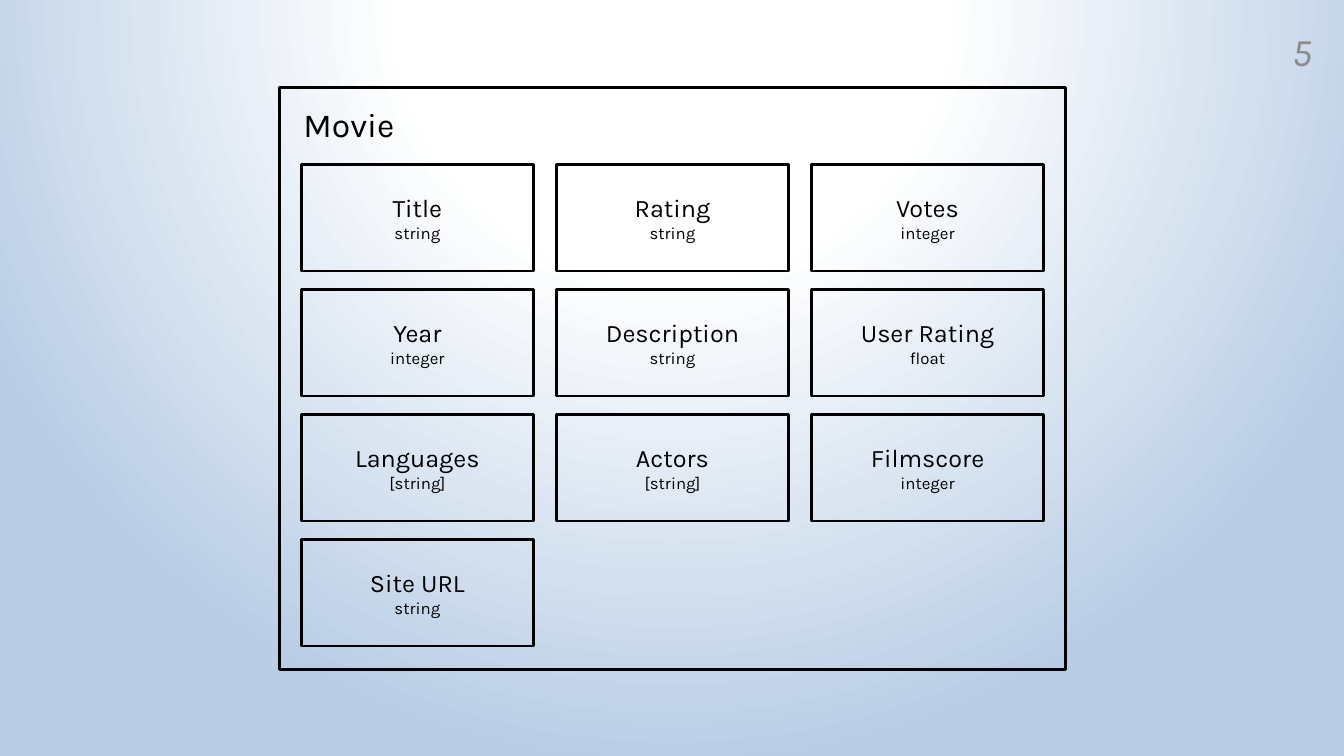
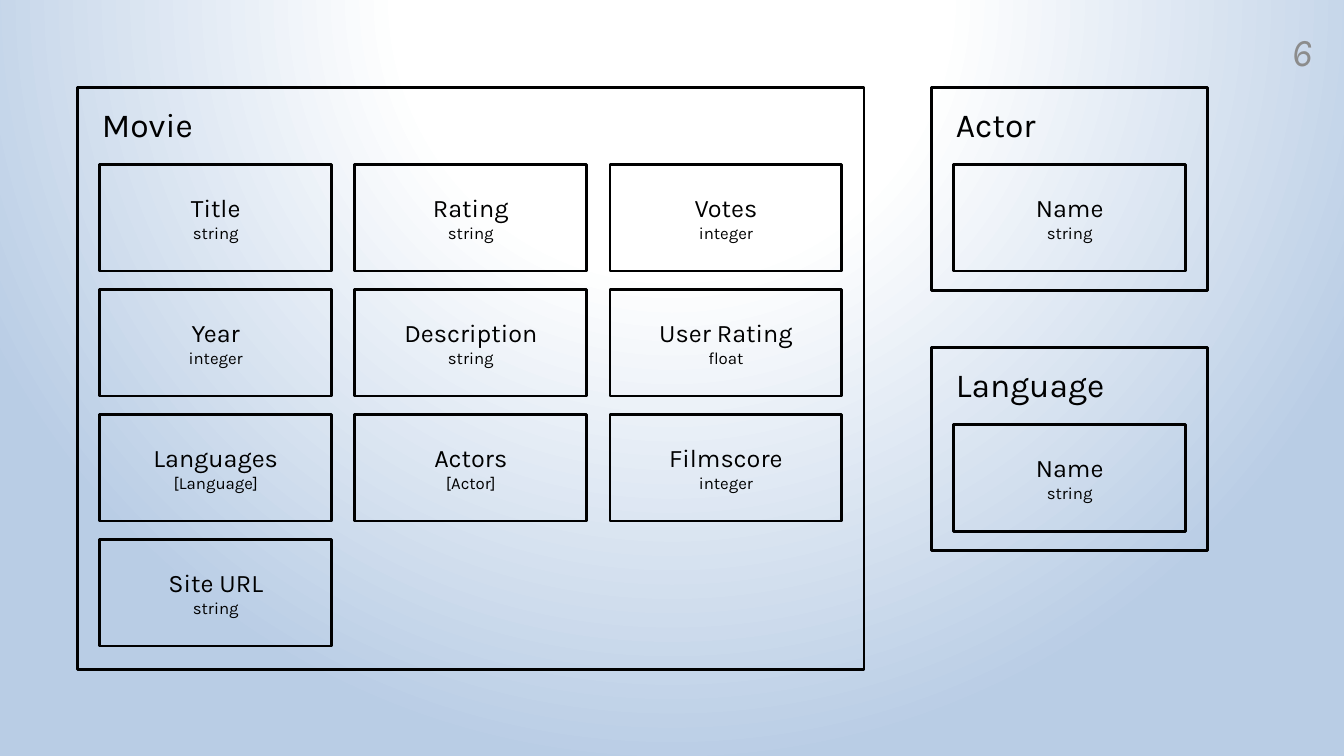
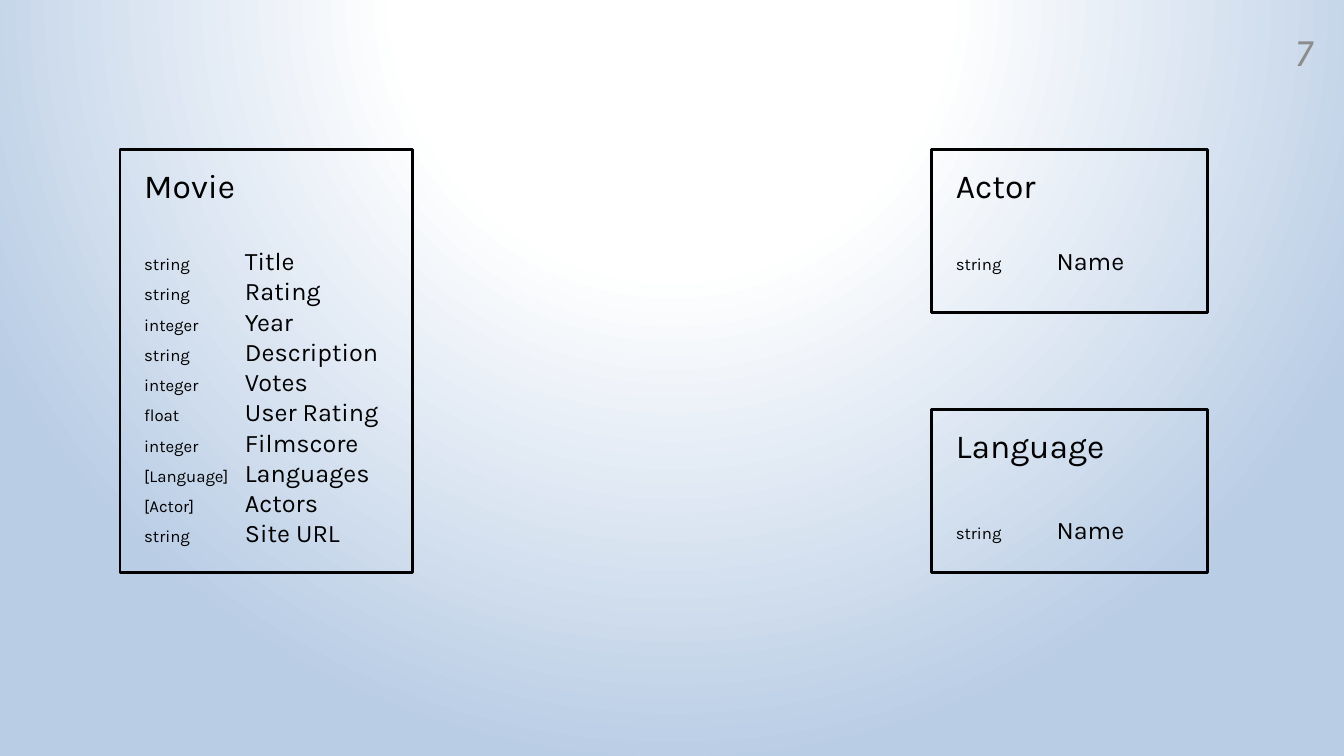
"""Build three slides that refine a movie data model."""
from dataclasses import dataclass

from lxml.etree import SubElement
from pptx import Presentation
from pptx.dml.color import RGBColor
from pptx.enum.shapes import MSO_SHAPE as Shape
from pptx.enum.text import MSO_ANCHOR as Anchor, PP_ALIGN as Align
from pptx.oxml.ns import qn
from pptx.util import Inches, Pt


@dataclass(frozen=True)
class Theme:
    """Colours, type sizes and spacing shared by the slides."""
    font: str = "Karla"
    ink: str = "000000"
    muted: str = "8C8C8C"
    gradient: tuple = ((0, "FFFFFF"), (35, "FFFFFF"), (100, "B9CDE5"))
    gradient_center: tuple = (("l", 50), ("t", -80), ("r", 50), ("b", 180))
    number_size: int = 28
    heading_size: int = 24
    name_size: int = 18
    type_size: int = 12
    line_width: int = 2
    card_width: float = 2.3
    card_height: float = 1.06
    column_gap: float = 0.23
    row_gap: float = 0.18
    card_inset: float = 0.22
    card_top: float = 0.76
    name_tab: float = 1.0


class ModelDeck:
    """Draws data model elements on the current slide."""

    def __init__(self, theme):
        """Start a presentation with the shared background."""
        self.theme = theme
        self.presentation = Presentation()
        self.presentation.slide_width = Inches(13.33)
        self.presentation.slide_height = Inches(7.5)
        self.slide = None
        self.paint_background()

    def paint_background(self):
        """Put a radial gradient on the slide master."""
        master = self.presentation.slide_master
        master.background.fill.solid()
        solid = master.element.xpath("p:cSld/p:bg/p:bgPr/a:solidFill")[0]
        properties = solid.getparent()
        gradient = SubElement(properties, qn("a:gradFill"), rotWithShape="1")
        properties.replace(solid, gradient)
        stops = SubElement(gradient, qn("a:gsLst"))
        for position, color in self.theme.gradient:
            stop = SubElement(stops, qn("a:gs"), pos=str(position * 1000))
            SubElement(stop, qn("a:srgbClr"), val=color)
        circle = SubElement(gradient, qn("a:path"), {"path": "circle"})
        center = {side: str(percent * 1000) for side, percent in self.theme.gradient_center}
        SubElement(circle, qn("a:fillToRect"), center)

    def add_slide(self, number):
        """Add a blank slide with its number in the corner."""
        self.slide = self.presentation.slides.add_slide(self.presentation.slide_layouts[6])
        box = self.slide.shapes.add_textbox(Inches(12.21), Inches(0.22), Inches(0.9), Inches(0.56))
        frame = box.text_frame
        self.format(frame, word_wrap=True, vertical_anchor=Anchor.MIDDLE)
        paragraph = frame.paragraphs[0]
        paragraph.alignment = Align.RIGHT
        self.add_run(paragraph, str(number), self.theme.number_size, self.theme.muted, italic=True)

    @staticmethod
    def format(target, **values):
        """Set each given attribute on the target."""
        for name, value in values.items():
            setattr(target, name, value)

    def add_run(self, paragraph, text, size, color=None, **values):
        """Append a run in the theme font."""
        run = paragraph.add_run()
        run.text = text
        self.format(run.font, name=self.theme.font, size=Pt(size), **values)
        run.font.color.rgb = RGBColor.from_string(color or self.theme.ink)

    def add_tab_stop(self, paragraph):
        """Set the tab stop where field names start."""
        tabs = SubElement(paragraph._p.get_or_add_pPr(), qn("a:tabLst"))
        SubElement(tabs, qn("a:tab"), pos=str(Inches(self.theme.name_tab)), algn="l")

    def add_frame(self, left, top, width, height):
        """Add an outlined rectangle and return its text frame."""
        shape = self.slide.shapes.add_shape(
            Shape.RECTANGLE, Inches(left), Inches(top), Inches(width), Inches(height))
        shape.shadow.inherit = False
        shape.fill.background()
        shape.line.color.rgb = RGBColor.from_string(self.theme.ink)
        shape.line.width = Pt(self.theme.line_width)
        shape.text_frame.word_wrap = True
        return shape.text_frame

    def add_panel(self, heading, left, top, width, height):
        """Add a headed panel and return its text frame."""
        frame = self.add_frame(left, top, width, height)
        self.format(frame, vertical_anchor=Anchor.TOP,
                    margin_left=Inches(0.24), margin_top=Inches(0.16))
        paragraph = frame.paragraphs[0]
        paragraph.alignment = Align.LEFT
        self.add_run(paragraph, heading, self.theme.heading_size)
        return frame

    def add_card(self, name, kind, left, top):
        """Add a card with a field name above its type."""
        theme = self.theme
        frame = self.add_frame(left, top, theme.card_width, theme.card_height)
        frame.vertical_anchor = Anchor.MIDDLE
        lines = ((frame.paragraphs[0], name, theme.name_size),
                 (frame.add_paragraph(), kind, theme.type_size))
        for paragraph, text, size in lines:
            paragraph.alignment = Align.CENTER
            self.add_run(paragraph, text, size)

    def add_card_panel(self, heading, fields, left, top, height, columns=1):
        """Add a panel with its fields as a grid of cards."""
        theme = self.theme
        column_step = theme.card_width + theme.column_gap
        row_step = theme.card_height + theme.row_gap
        width = columns * column_step - theme.column_gap + 2 * theme.card_inset
        self.add_panel(heading, left, top, width, height)
        for index, (name, kind) in enumerate(fields):
            row, column = divmod(index, columns)
            self.add_card(name, kind, left + theme.card_inset + column * column_step,
                          top + theme.card_top + row * row_step)

    def add_list_panel(self, heading, fields, left, top, width, height, list_gap=28.5):
        """Add a panel with its fields as tabbed lines."""
        frame = self.add_panel(heading, left, top, width, height)
        for index, (name, kind) in enumerate(fields):
            paragraph = frame.add_paragraph()
            self.format(paragraph, alignment=Align.LEFT,
                        space_before=Pt(0 if index else list_gap))
            self.add_tab_stop(paragraph)
            self.add_run(paragraph, kind + "\t", self.theme.type_size)
            self.add_run(paragraph, name, self.theme.name_size)


def movie_fields(language_type, actor_type):
    """Return the movie fields in card order."""
    return [
        ("Title", "string"), ("Rating", "string"), ("Votes", "integer"),
        ("Year", "integer"), ("Description", "string"), ("User Rating", "float"),
        ("Languages", language_type), ("Actors", actor_type), ("Filmscore", "integer"),
        ("Site URL", "string"),
    ]


NAME_FIELD = [("Name", "string")]
LIST_ORDER = ("Title", "Rating", "Year", "Description", "Votes", "User Rating",
              "Filmscore", "Languages", "Actors", "Site URL")

deck = ModelDeck(Theme())
linked_fields = movie_fields("[Language]", "[Actor]")

deck.add_slide(5)
deck.add_card_panel("Movie", movie_fields("[string]", "[string]"), 2.77, 0.87, 5.77, columns=3)

deck.add_slide(6)
deck.add_card_panel("Movie", linked_fields, 0.77, 0.87, 5.77, columns=3)
for entity, entity_top in (("Actor", 0.87), ("Language", 3.45)):
    deck.add_card_panel(entity, NAME_FIELD, 9.24, entity_top, 2.01)

deck.add_slide(7)
listed_fields = sorted(linked_fields, key=lambda field: LIST_ORDER.index(field[0]))
deck.add_list_panel("Movie", listed_fields, 1.19, 1.48, 2.9, 4.2)
for entity, entity_top, entity_gap in (("Actor", 1.48, 28.5), ("Language", 4.06, 35)):
    deck.add_list_panel(entity, NAME_FIELD, 9.24, entity_top, 2.74, 1.62, entity_gap)

deck.presentation.save("out.pptx")
